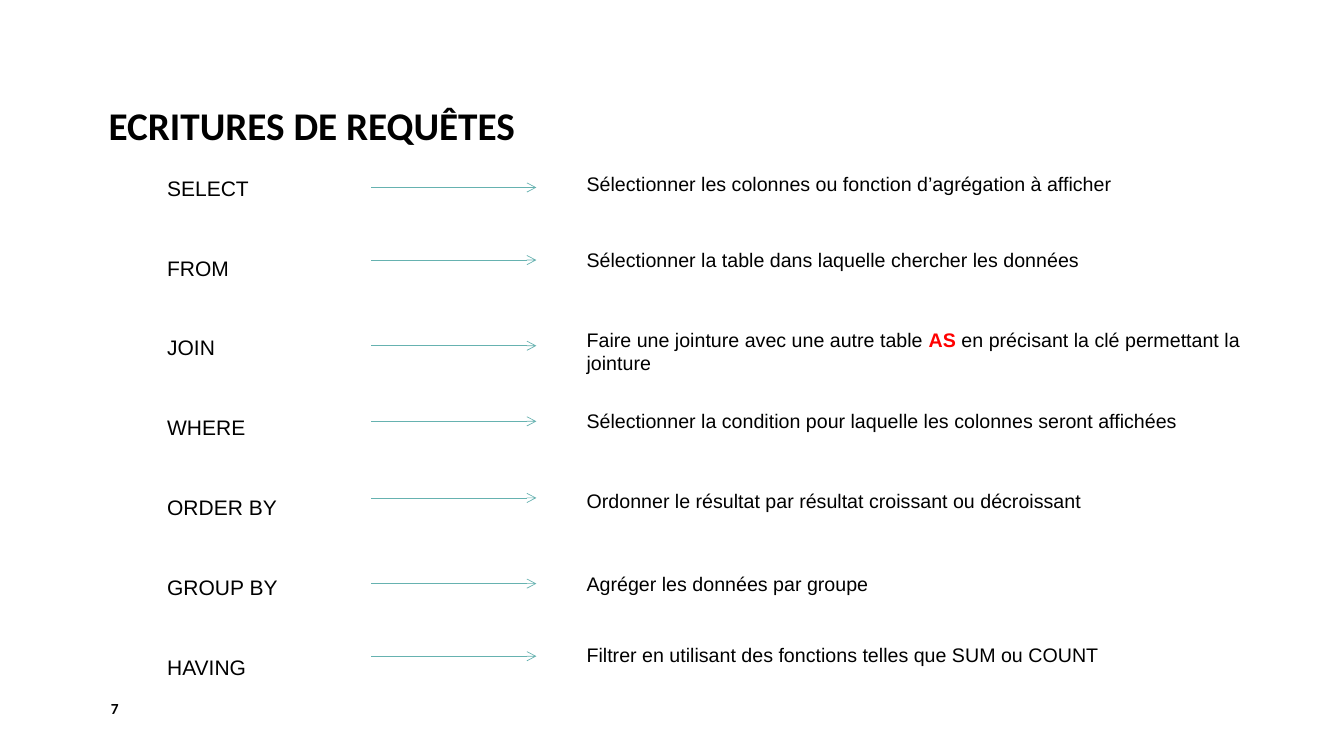
from lxml.etree import SubElement
from pptx import Presentation
from pptx.dml.color import RGBColor
from pptx.enum.shapes import MSO_CONNECTOR as Connector
from pptx.enum.text import MSO_ANCHOR as Anchor
from pptx.oxml.ns import qn
from pptx.util import Pt

PX = 9144  # 100 px to the inch
BLACK, RED, TEAL = "000000", "FF0000", "66B2B0"

TITLE = {"name": "Calibri", "size": Pt(28), "bold": True}
KEYWORD = {"name": "Arial", "size": Pt(15)}
DESCRIPTION = {"name": "Arial", "size": Pt(14)}
PAGE_NUMBER = {"name": "Calibri", "size": Pt(11), "bold": True}

ARROW_LEFT, ARROW_RIGHT = 368, 532
DESCRIPTION_LEFT, DESCRIPTION_WIDTH, DESCRIPTION_HEIGHT = 572, 700, 45

# Keyword, arrow height, description top, description; *…* marks the accent
CLAUSES = [
    ("SELECT", 186, 166,
     "Sélectionner les colonnes ou fonction d’agrégation à afficher"),
    ("FROM", 258, 241,
     "Sélectionner la table dans laquelle chercher les données"),
    ("JOIN", 343, 320,
     "Faire une jointure avec une autre table *AS *"
     "en précisant la clé permettant la jointure"),
    ("WHERE", 418, 401,
     "Sélectionner la condition pour laquelle les colonnes seront affichées"),
    ("ORDER BY", 494, 480,
     "Ordonner le résultat par résultat croissant ou décroissant"),
    ("GROUP BY", 579, 562, "Agréger les données par groupe"),
    ("HAVING", 651, 633,
     "Filtrer en utilisant des fonctions telles que SUM ou COUNT"),
]


def color(hex_value):
    return RGBColor.from_string(hex_value)


def add_span(para, text, style, hex_value=BLACK):
    span = para.add_run()
    span.text = text
    for name, value in style.items():
        setattr(span.font, name, value)
    span.font.color.rgb = color(hex_value)


def add_text(page, bounds, lines, style, anchor=Anchor.TOP, **para_format):
    box = page.shapes.add_textbox(*(value * PX for value in bounds))
    frame = box.text_frame
    frame.word_wrap = True
    frame.vertical_anchor = anchor
    for index, line in enumerate(lines):
        para = frame.add_paragraph() if index else frame.paragraphs[0]
        for name, value in para_format.items():
            setattr(para, name, value)
        for part, text in enumerate(line.split("*")):
            if part % 2:
                add_span(para, text, {**style, "bold": True}, RED)
            else:
                add_span(para, text, style)


def add_arrow(page, y):
    arrow = page.shapes.add_connector(
        Connector.STRAIGHT, ARROW_LEFT * PX, y * PX, ARROW_RIGHT * PX, y * PX)
    arrow.line.color.rgb = color(TEAL)
    arrow.line.width = Pt(0.5)
    SubElement(arrow.line._get_or_add_ln(), qn("a:tailEnd"), type="arrow")
    SubElement(arrow._element.spPr, qn("a:effectLst"))


def main():
    deck = Presentation()
    deck.slide_width, deck.slide_height = 1333 * PX, 750 * PX
    page = deck.slides.add_slide(deck.slide_layouts[6])

    # Title
    add_text(page, (98, 8, 1138, 145), ["ECRITURES DE REQUÊTES"], TITLE,
             Anchor.BOTTOM, line_spacing=0.9)

    # Keyword column
    keywords = [clause[0] for clause in CLAUSES]
    add_text(page, (156, 169, 344, 508), keywords, KEYWORD,
             space_after=Pt(39))

    # Arrows and descriptions
    for _, arrow_y, top, description in CLAUSES:
        add_arrow(page, arrow_y)
        bounds = (DESCRIPTION_LEFT, top, DESCRIPTION_WIDTH, DESCRIPTION_HEIGHT)
        add_text(page, bounds, [description], DESCRIPTION)

    # Page number
    add_text(page, (100, 683, 292, 40), ["7"], PAGE_NUMBER, Anchor.MIDDLE)

    deck.save("out.pptx")


if __name__ == "__main__":
    main()
